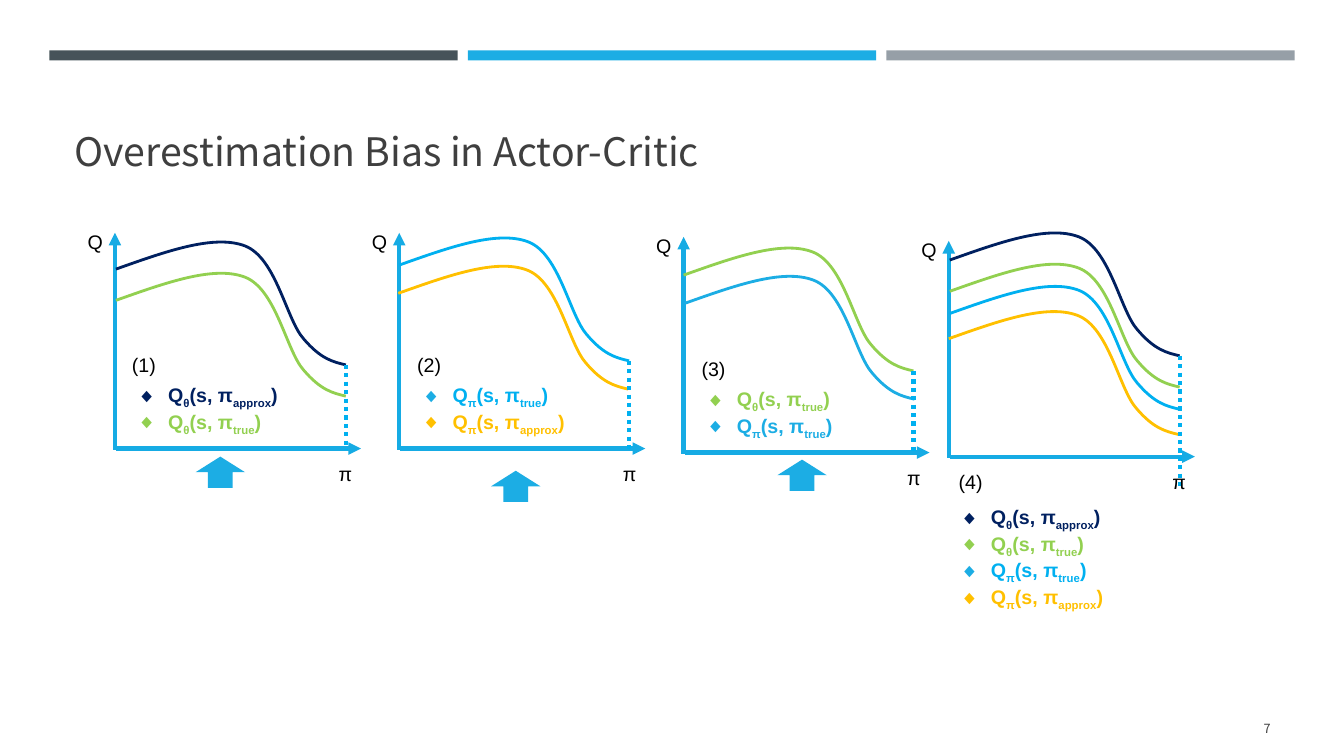
from lxml import etree
from pptx import Presentation
from pptx.dml.color import RGBColor
from pptx.enum import dml, shapes, text
from pptx.oxml import ns
from pptx.util import Inches, Pt

SLATE = RGBColor(0x46, 0x53, 0x59)
BLUE = RGBColor(0x1C, 0xAD, 0xE4)
GRAY = RGBColor(0x96, 0x9F, 0xA7)
AXIS = RGBColor(0x16, 0xAB, 0xE4)
NAVY = RGBColor(0x00, 0x20, 0x60)
GREEN = RGBColor(0x92, 0xD0, 0x50)
SKY = RGBColor(0x00, 0xB0, 0xF0)
AMBER = RGBColor(0xFF, 0xC0, 0x00)
INK = RGBColor(0x3F, 0x3F, 0x3F)
BLACK = RGBColor(0, 0, 0)

HEADING_FONT = "Noto Sans CJK KR"
LABEL_FONT = "Arial"

# Bezier pieces of the Q curve, measured from its start on the Q axis
CURVE = [
    [(0.48, -0.17), (0.97, -0.35), (1.28, -0.23)],
    [(1.59, -0.11), (1.69, 0.5), (1.86, 0.69)],
    [(2.03, 0.89), (2.15, 0.92), (2.28, 0.95)],
]
CURVE_WIDTH, CURVE_DROP = CURVE[-1][-1]
CURVE_RISE = 0.27

# Origin of the axes, end of the dotted line below it, offsets of the number
# and legend, and the curves: Q subscript, policy, colour, starting point
PANELS = [
    ((1.14, 4.46), 0, (0.07, -1.01), (0.12, -0.71),
     [("θ", "approx", NAVY, (1.15, 2.67)), ("θ", "true", GREEN, (1.15, 2.98))]),
    ((3.96, 4.46), 0.03, (0.08, -1.01), (0.12, -0.71),
     [("π", "true", SKY, (3.96, 2.63)), ("π", "approx", AMBER, (3.95, 2.91))]),
    ((6.78, 4.5), 0, (0.08, -1.01), (0.12, -0.71),
     [("θ", "true", GREEN, (6.78, 2.73)), ("π", "true", BLUE, (6.79, 3.01))]),
    ((9.41, 4.54), 0.31, (0, 0.07), (0.01, 0.42),
     [("θ", "approx", NAVY, (9.42, 2.58)), ("θ", "true", GREEN, (9.42, 2.89)),
      ("π", "true", SKY, (9.42, 3.11)), ("π", "approx", AMBER, (9.41, 3.36))]),
]


def add_block(slide, preset, color, *box):
    block = slide.shapes.add_shape(preset, *map(Inches, box))
    block.shadow.inherit = False
    block.fill.solid()
    block.fill.fore_color.rgb = color
    block.line.fill.background()


def style(paragraph, size, color, font=LABEL_FONT, bold=False):
    paragraph.font.name = font
    paragraph.font.size = Pt(size)
    paragraph.font.bold = bold
    paragraph.font.color.rgb = color


def add_frame(slide, *box, wrap=True, grow=True):
    frame = slide.shapes.add_textbox(*map(Inches, box)).text_frame
    frame.word_wrap = wrap
    if grow:
        frame.auto_size = text.MSO_AUTO_SIZE.SHAPE_TO_FIT_TEXT
    return frame


def add_label(slide, words, *box, wrap=True):
    label = add_frame(slide, *box, wrap=wrap).paragraphs[0]
    label.text = words
    style(label, 14, BLACK)


def add_line(slide, start, end, color, arrow=False):
    line = slide.shapes.add_connector(
        shapes.MSO_CONNECTOR.STRAIGHT, *map(Inches, (*start, *end)))
    line.line.color.rgb = color
    line.line.width = Pt(3)
    if arrow:
        etree.SubElement(line.line._get_or_add_ln(), ns.qn("a:tailEnd"), type="triangle")
    else:
        line.line.dash_style = dml.MSO_LINE.ROUND_DOT
    etree.SubElement(line._element.spPr, ns.qn("a:effectLst"))


def add_curve(slide, left, top, color):
    # The start, peak and end give the extent
    builder = slide.shapes.build_freeform(Inches(left), Inches(top))
    extent = [(1.05, -CURVE_RISE), (CURVE_WIDTH, CURVE_DROP)]
    builder.add_line_segments(
        [(Inches(left + x), Inches(top + y)) for x, y in extent], close=False)
    curve = builder.convert_to_shape()

    # Bezier pieces take the place of the straight segments
    outline = next(curve._element.iter(ns.qn("a:path")))
    for segment in outline.findall(ns.qn("a:lnTo")):
        outline.remove(segment)
    for piece in CURVE:
        bend = etree.SubElement(outline, ns.qn("a:cubicBezTo"))
        for x, y in piece:
            etree.SubElement(bend, ns.qn("a:pt"), x=str(Inches(x)),
                             y=str(Inches(y + CURVE_RISE)))

    curve.shadow.inherit = False
    curve.fill.background()
    curve.line.color.rgb = color
    curve.line.width = Pt(2)


def add_bullet(paragraph, color):
    props = paragraph._p.get_or_add_pPr()
    props.set("marL", str(Inches(0.31)))
    props.set("indent", str(-Inches(0.31)))
    bullet_color = etree.SubElement(props, ns.qn("a:buClr"))
    etree.SubElement(bullet_color, ns.qn("a:srgbClr"), val=str(color))
    etree.SubElement(props, ns.qn("a:buFont"), typeface=LABEL_FONT)
    etree.SubElement(props, ns.qn("a:buChar"), char="◆")


def add_legend(slide, left, top, curves):
    frame = add_frame(slide, left, top, 1.75, 0.1 + 0.235 * len(curves))
    for index, (critic, policy, color, _) in enumerate(curves):
        entry = frame.add_paragraph() if index else frame.paragraphs[0]
        add_bullet(entry, BLUE if color == SKY else color)
        style(entry, 14, color, bold=True)
        for position, part in enumerate(("Q", critic, "(s, π", policy, ")")):
            run = entry.add_run()
            run.text = part
            if position % 2:
                run._r.get_or_add_rPr().set("baseline", "-25000")


def add_panel(slide, number, origin, dots_below, number_at, legend_at, curves):
    x, y = origin
    # Axes
    add_line(slide, (x, y), (x, y - 2.15), AXIS, arrow=True)
    add_line(slide, (x + 0.01, y - 0.01), (x + 2.44, y - 0.01), AXIS, arrow=True)
    add_label(slide, "Q", x - 0.37, y - 2.23, 0.35, 0.34, wrap=False)
    # Curves and the dotted line under the right end of the top one
    for _, _, color, start in curves:
        add_curve(slide, *start, color)
    top_left, top_height = curves[0][3]
    end = top_left + CURVE_WIDTH
    add_line(slide, (end, top_height + CURVE_DROP), (end, y + dots_below), SKY)
    add_label(slide, "π", x + 2.12, y + 0.07, 0.34, 0.34, wrap=False)
    # Number and legend
    add_label(slide, f"({number})", x + number_at[0], y + number_at[1], 0.56, 0.34)
    add_legend(slide, x + legend_at[0], y + legend_at[1], curves)


def add_heading(slide, words, size, anchor, align, *box):
    frame = add_frame(slide, *box, grow=False)
    frame.vertical_anchor = anchor
    heading = frame.paragraphs[0]
    heading.text = words
    heading.alignment = align
    style(heading, size, INK, HEADING_FONT)


def main():
    deck = Presentation()
    deck.slide_width, deck.slide_height = Inches(13.33), Inches(7.5)
    slide = deck.slides.add_slide(deck.slide_layouts[6])

    # Top bars
    for index, color in enumerate((SLATE, BLUE, GRAY)):
        add_block(slide, shapes.MSO_SHAPE.RECTANGLE, color,
                  0.49 + 4.15 * index, 0.5, 4.05, 0.1)

    # Title and slide number
    add_heading(slide, "Overestimation Bias in Actor-Critic", 28,
                text.MSO_ANCHOR.BOTTOM, text.PP_ALIGN.LEFT, 0.64, 0.77, 12.06, 1.01)
    add_heading(slide, "7", 9, text.MSO_ANCHOR.MIDDLE, text.PP_ALIGN.RIGHT,
                11.55, 7.03, 1.15, 0.4)

    # Graphs
    for number, panel in enumerate(PANELS, start=1):
        add_panel(slide, number, *panel)

    # Arrows under the first three graphs
    for left, top in ((1.94, 4.53), (4.87, 4.67), (7.71, 4.56)):
        add_block(slide, shapes.MSO_SHAPE.UP_ARROW, BLUE, left, top, 0.49, 0.31)

    deck.save("out.pptx")


if __name__ == "__main__":
    main()
